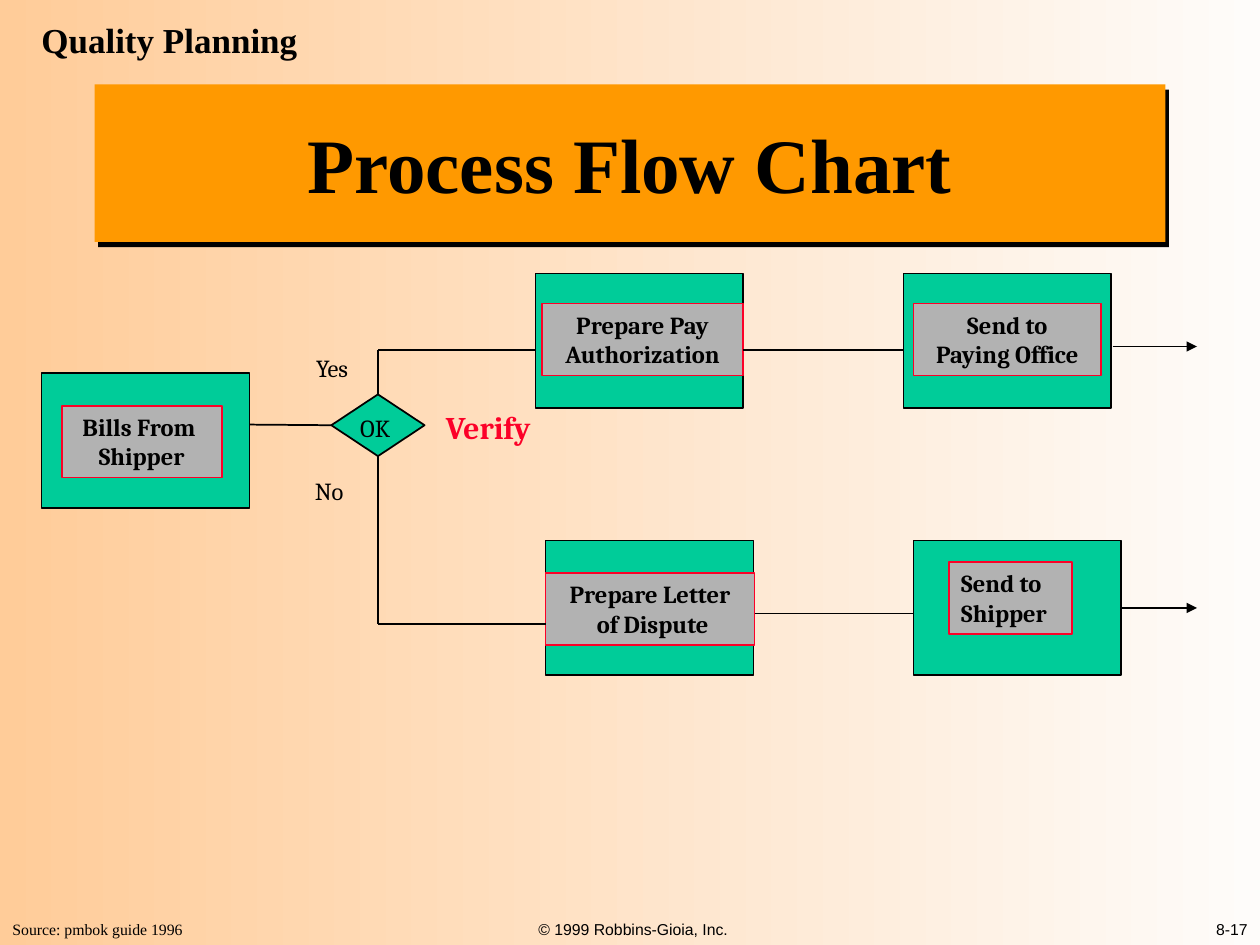
import pptx
import pptx.dml.color
import pptx.enum.shapes
import pptx.enum.text
import pptx.oxml
import pptx.oxml.ns
import pptx.util

Inches = pptx.util.Inches
Pt = pptx.util.Pt
RGBColor = pptx.dml.color.RGBColor
SHAPE = pptx.enum.shapes.MSO_SHAPE
ALIGN = pptx.enum.text.PP_ALIGN
ANCHOR = pptx.enum.text.MSO_ANCHOR

BLACK = RGBColor(0x00, 0x00, 0x00)
ORANGE = RGBColor(0xFF, 0x99, 0x00)
PEACH = RGBColor(0xFF, 0xCC, 0x99)
CREAM = RGBColor(0xFE, 0xFC, 0xFA)
GREEN = RGBColor(0x00, 0xCC, 0x99)
GRAY = RGBColor(0xB2, 0xB2, 0xB2)
RED = RGBColor(0xFC, 0x01, 0x28)

SERIF = "Times New Roman"
SANS = "Arial"
CHART_FONT = "Cambria"
TOP, LEFT, BOTTOM, RIGHT = range(4)
STEP_W, STEP_H = 1.65, 1.07
LABEL_H = 0.57


def write(sp, lines, size, font, color=BLACK, bold=False, align=ALIGN.LEFT,
          anchor=ANCHOR.TOP, wrap=False):
    tf = sp.text_frame
    tf.word_wrap = wrap
    tf.auto_size = pptx.enum.text.MSO_AUTO_SIZE.NONE
    tf.vertical_anchor = anchor
    tf.text = "\n".join(lines)
    for p in tf.paragraphs:
        p.alignment = align
        p.font.size = Pt(size)
        p.font.name = font
        p.font.bold = bold
        p.font.color.rgb = color


def add_text(s, box, text, size, font, **style):
    sp = s.shapes.add_textbox(*map(Inches, box))
    write(sp, [text], size, font, **style)


def add_block(s, shape, box, fill, line):
    sp = s.shapes.add_shape(shape, *map(Inches, box))
    sp.shadow.inherit = False
    sp.fill.solid()
    sp.fill.fore_color.rgb = fill
    sp.line.color.rgb = line
    sp.line.width = Pt(1)
    return sp


def add_line(s, start, end, width=1, arrow=False):
    line = s.shapes.add_connector(pptx.enum.shapes.MSO_CONNECTOR.STRAIGHT,
                                  *map(Inches, (*start, *end)))
    line.line.color.rgb = BLACK
    line.line.width = Pt(width)
    if arrow:
        ln = line.line._get_or_add_ln()
        ln.append(pptx.oxml.parse_xml(
            f'<a:tailEnd {pptx.oxml.ns.nsdecls("a")} type="triangle"/>'))
    line._element.spPr.append(pptx.oxml.parse_xml(
        f'<a:effectLst {pptx.oxml.ns.nsdecls("a")}/>'))
    return line


def add_background(s):
    fill = s.background.fill
    fill.gradient()
    fill.gradient_angle = 180
    for stop, color in zip(fill.gradient_stops, (CREAM, PEACH)):
        stop.color.rgb = color


def add_title(s, box):
    sp = s.shapes.title
    sp.left, sp.top, sp.width, sp.height = map(Inches, box)
    sp.fill.solid()
    sp.fill.fore_color.rgb = ORANGE
    sp.shadow.inherit = False
    effects = sp._element.spPr.find(pptx.oxml.ns.qn("a:effectLst"))
    effects.append(pptx.oxml.parse_xml(
        f'<a:outerShdw {pptx.oxml.ns.nsdecls("a")} dist="{Pt(3.6)}" '
        f'dir="{56 * 60000}" algn="ctr" rotWithShape="0">'
        f'<a:srgbClr val="{BLACK}"/></a:outerShdw>'))
    write(sp, ["Process Flow Chart"], 44, SERIF, bold=True,
          align=ALIGN.CENTER, anchor=ANCHOR.MIDDLE, wrap=True)


def add_footer(s, left, top, width, height):
    add_text(s, (left, top + 0.25, 1.55, 0.25), "Source: pmbok guide 1996",
             9, SERIF)
    for x, text, align in ((3.4, "© 1999 Robbins-Gioia, Inc.", ALIGN.CENTER),
                           (width - 3.25, "8-17", ALIGN.RIGHT)):
        add_text(s, (left + x, top, 3.25, height), text, 9, SANS,
                 align=align, anchor=ANCHOR.BOTTOM, wrap=True)


def add_step(s, left, top, inset, label_w, lines, align=ALIGN.CENTER):
    step = add_block(s, SHAPE.RECTANGLE, (left, top, STEP_W, STEP_H),
                     GREEN, BLACK)
    dx, dy = inset
    label = add_block(s, SHAPE.RECTANGLE,
                      (left + dx, top + dy, label_w, LABEL_H), GRAY, RED)
    write(label, lines, 14, CHART_FONT, bold=True, align=align)
    return step


def add_decision(s, left, top, width, height):
    add_text(s, (left + 0.81, top + 0.06, 0.99, 0.4), "Verify", 18,
             CHART_FONT, color=RED, bold=True)
    diamond = add_block(s, SHAPE.DIAMOND, (left, top, width, height),
                        GREEN, BLACK)
    for x, y, w, text in ((0.13, 0.1, 0.48, "OK"),
                          (-0.22, -0.38, 0.52, "Yes"),
                          (-0.23, 0.6, 0.46, "No")):
        add_text(s, (left + x, top + y, w, 0.33), text, 14, CHART_FONT)
    return diamond


def add_flow(s, left, top):
    lower = top + 2.12
    add_step(s, left, top + 0.79, (0.16, 0.26), 1.27,
             ["Bills From ", "Shipper"])
    add_step(s, left + 3.92, top, (0.05, 0.24), 1.6,
             ["Prepare Pay", "Authorization"])
    add_step(s, left + 6.84, top, (0.08, 0.24), 1.49,
             ["Send to", "Paying Office"])
    add_step(s, left + 4, lower, (0, 0.26), 1.66,
             ["Prepare Letter", " of Dispute"])
    to_shipper = add_step(s, left + 6.92, lower, (0.28, 0.17), 0.98,
                          ["Send to", "Shipper"], ALIGN.LEFT)

    diamond = add_decision(s, left + 2.3, top + 0.96, 0.74, 0.49)
    mid_x, mid_y = left + 2.67, top + 1.2
    yes_y, no_y = top + 0.61, top + 2.78
    add_line(s, (left + STEP_W, mid_y),
             (left + 2.3, mid_y)).end_connect(diamond, LEFT)
    for side, turn_y, end_x in ((TOP, yes_y, left + 3.92),
                                (BOTTOM, no_y, left + 4)):
        add_line(s, (mid_x, mid_y),
                 (mid_x, turn_y)).begin_connect(diamond, side)
        add_line(s, (mid_x, turn_y), (end_x, turn_y))

    add_line(s, (left + 5.57, yes_y), (left + 6.84, yes_y))
    add_line(s, (left + 5.66, top + 2.7), (left + 6.92, top + 2.7))
    add_line(s, (left + 8.5, top + 0.58), (left + 9.17, top + 0.58),
             0.75, arrow=True)
    exit_y = lower + STEP_H / 2
    add_line(s, (left + 8.57, exit_y), (left + 9.17, exit_y),
             0.75, arrow=True).begin_connect(to_shipper, RIGHT)


def main():
    prs = pptx.Presentation()
    prs.slide_width, prs.slide_height = Inches(10), Inches(7.5)
    s = prs.slides.add_slide(prs.slide_layouts[5])
    add_background(s)
    add_footer(s, 0, 7, 10, 0.5)
    add_title(s, (0.75, 0.67, 8.5, 1.25))
    add_text(s, (0.23, 0.1, 2.23, 0.44), "Quality Planning", 20, SERIF,
             bold=True)
    add_flow(s, 0.33, 2.17)
    prs.save("out.pptx")


if __name__ == "__main__":
    main()
